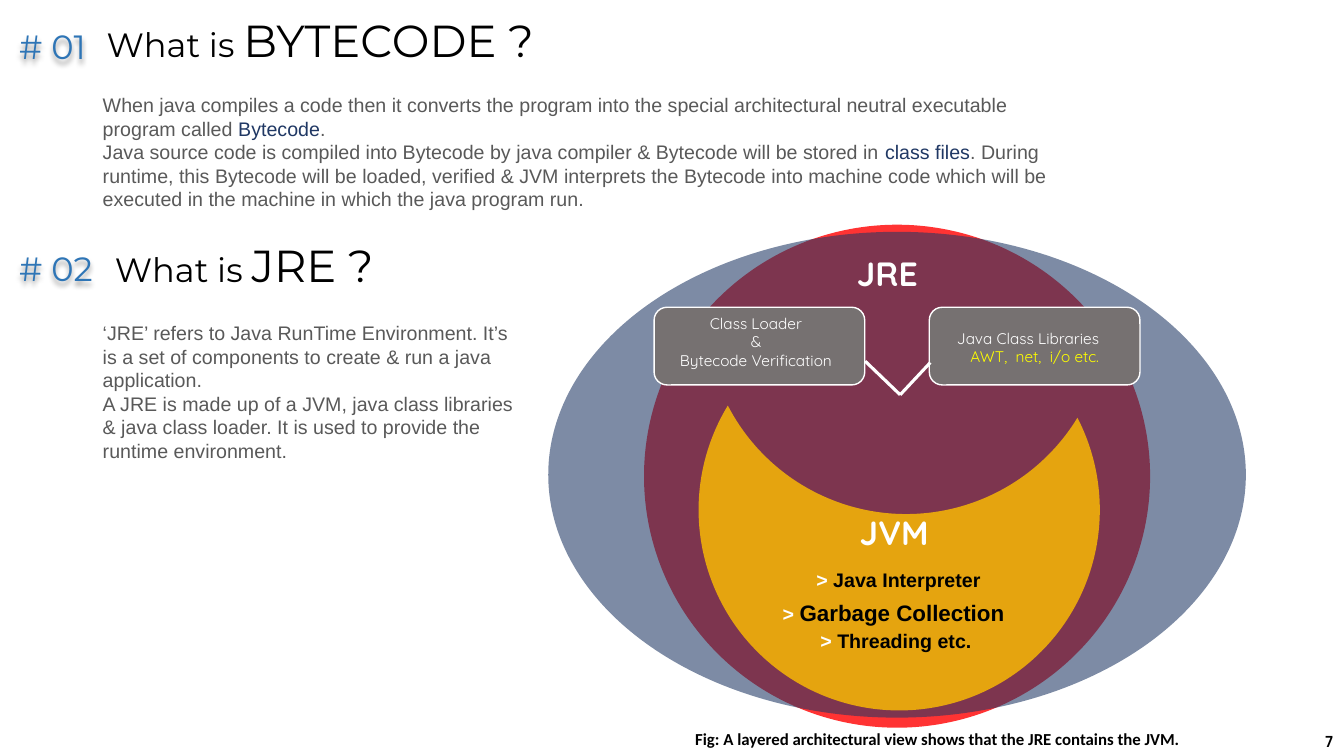
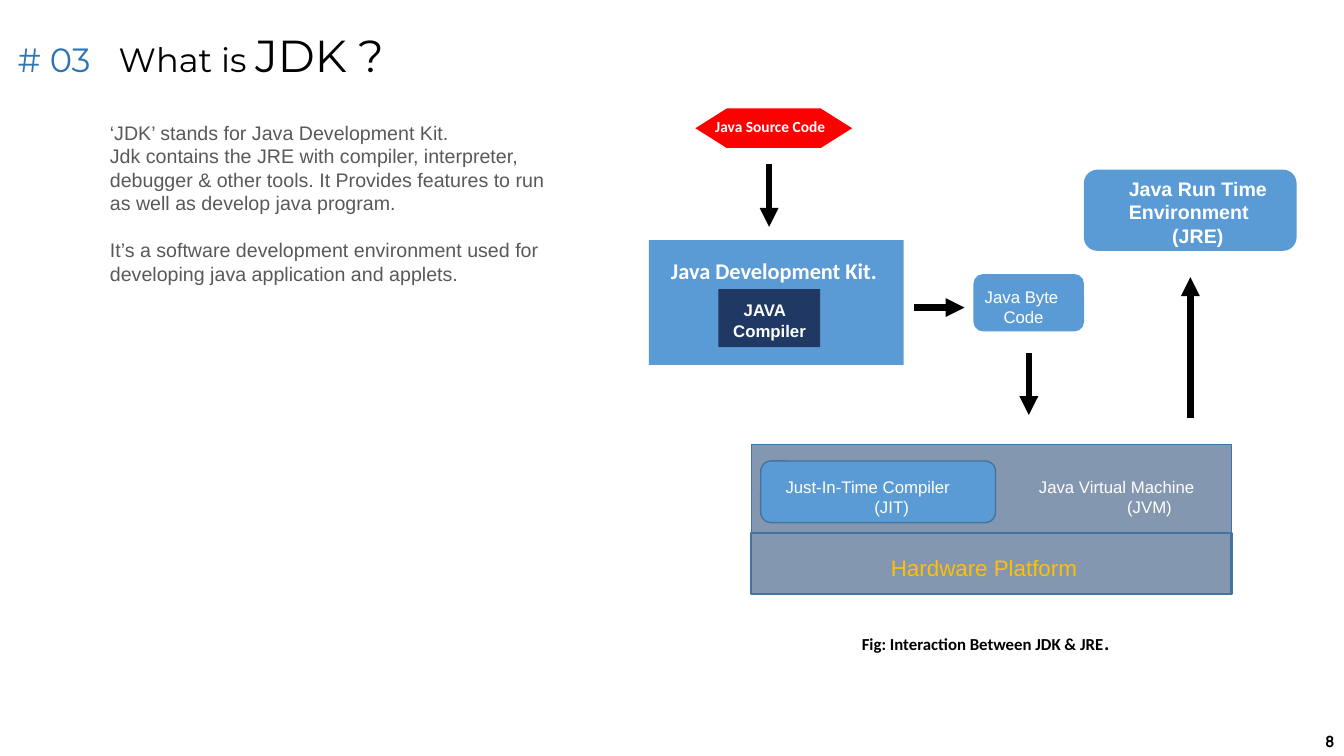
from dataclasses import dataclass
from math import acos, atan2, cos, degrees, hypot, pi, sin

from lxml import etree
from pptx import Presentation
from pptx.dml.color import RGBColor
from pptx.enum.shapes import MSO_CONNECTOR, MSO_SHAPE
from pptx.enum.text import MSO_ANCHOR, MSO_AUTO_SIZE, PP_ALIGN
from pptx.oxml.ns import qn
from pptx.util import Pt

LEFT, CENTER, RIGHT = PP_ALIGN.LEFT, PP_ALIGN.CENTER, PP_ALIGN.RIGHT
TOP, MIDDLE = MSO_ANCHOR.TOP, MSO_ANCHOR.MIDDLE
RECT, ROUND, OVAL = MSO_SHAPE.RECTANGLE, MSO_SHAPE.ROUNDED_RECTANGLE, MSO_SHAPE.OVAL
PREPARATION = MSO_SHAPE.FLOWCHART_PREPARATION
STRAIGHT = MSO_CONNECTOR.STRAIGHT
TWO_CONTENT, TITLE_AND_CONTENT = 3, 1
INSETS = (7.2, 3.6, 7.2, 3.6)


@dataclass(frozen=True)
class Theme:
    black: str = "000000"
    white: str = "FFFFFF"
    grey: str = "595959"
    stone: str = "767171"
    number: str = "2E75B6"
    navy: str = "203864"
    blue: str = "5B9BD5"
    slate: str = "8497B0"
    edge: str = "43739E"
    red: str = "FF0000"
    gold: str = "FFC000"
    yellow: str = "FFFF00"
    heading_font: str = "Montserrat"
    body_font: str = "Arial"
    label_font: str = "Quicksand"
    caption_font: str = "Calibri"
    page_font: str = "Manrope"
    topic: int = 32
    heading: int = 24
    large: int = 16
    body: int = 14
    small: int = 12
    tiny: int = 11


T = Theme()


def style_run(r, size=T.body, font=T.body_font, color=T.white, bold=False):
    r.font.size, r.font.name, r.font.bold = Pt(size), font, bold
    r.font.color.rgb = RGBColor.from_string(color)


def write(tf, paras, align=LEFT, anchor=TOP, insets=INSETS, **fmt):
    """Fill a frame; a paragraph is a string or a list of strings and (text, format) runs."""
    tf.word_wrap, tf.auto_size, tf.vertical_anchor = True, MSO_AUTO_SIZE.NONE, anchor
    tf.margin_left, tf.margin_top, tf.margin_right, tf.margin_bottom = map(Pt, insets)
    for i, runs in enumerate(paras):
        p = tf.add_paragraph() if i else tf.paragraphs[0]
        p.alignment, p.space_before = align, Pt(0)
        etree.SubElement(p._p.get_or_add_pPr(), qn("a:buNone"))
        indent(p, 0)
        for run in [runs] if isinstance(runs, str) else runs:
            text, extra = (run, {}) if isinstance(run, str) else run
            r = p.add_run()
            r.text = text
            style_run(r, **{**fmt, **extra})
    return tf


def indent(p, width):
    pPr = p._p.get_or_add_pPr()
    pPr.set("marL", str(Pt(width)))
    pPr.set("indent", "0")


def place(sp, box):
    sp.left, sp.top, sp.width, sp.height = map(Pt, box)


def paint(sp, fill, alpha=100, line=None, weight=1):
    sp.shadow.inherit = False
    sp.fill.solid()
    sp.fill.fore_color.rgb = RGBColor.from_string(fill)
    if alpha < 100:
        clr = next(sp.element.spPr.iter(qn("a:srgbClr")))
        etree.SubElement(clr, qn("a:alpha"), val=str(alpha * 1000))
    if line:
        sp.line.color.rgb = RGBColor.from_string(line)
        sp.line.width = Pt(weight)
    else:
        sp.line.fill.background()


def add_text_shadow(sp):
    effects = etree.SubElement(sp.element.spPr, qn("a:effectLst"))
    shadow = etree.SubElement(effects, qn("a:outerShdw"), blurRad=str(Pt(4)),
                              dist=str(Pt(3)), dir="5400000", algn="t", rotWithShape="0")
    clr = etree.SubElement(shadow, qn("a:srgbClr"), val=T.black)
    etree.SubElement(clr, qn("a:alpha"), val="40000")


class Deck:
    def __init__(self):
        self.prs = Presentation()
        self.prs.slide_width, self.prs.slide_height = Pt(960), Pt(540)
        self.slide = None

    def add_slide(self, layout, page):
        self.slide = self.prs.slides.add_slide(self.prs.slide_layouts[layout])
        self.text((939.5, 519.2, 19.5, 21), [page], size=T.tiny, font=T.page_font,
                  color=T.black, bold=True)

    def text(self, box, paras, **fmt):
        sp = self.slide.shapes.add_textbox(*map(Pt, box))
        write(sp.text_frame, paras, **fmt)
        return sp

    def stepped(self, box, paras, step, row=1, **fmt):
        """Add text with one paragraph indented by step."""
        indent(self.text(box, paras, **fmt).text_frame.paragraphs[row], step)

    def heading(self, box, topic, title=True):
        shapes = self.slide.shapes
        sp = shapes.title if title else shapes.add_textbox(*map(Pt, box))
        place(sp, box)
        write(sp.text_frame, [["What is ", (topic, {"size": T.topic})]],
              size=T.heading, font=T.heading_font, color=T.black)

    def number(self, box, text, shadow=False):
        sp = self.text(box, [text], size=T.heading, font=T.heading_font, color=T.number)
        if shadow:
            add_text_shadow(sp)

    def body(self, idx, box, paras):
        sp = self.slide.placeholders[idx]
        place(sp, box)
        return write(sp.text_frame, paras, color=T.grey)

    def caption(self, box, runs):
        self.text(box, [runs], size=T.small, font=T.caption_font, color=T.black, bold=True)

    def shape(self, kind, box, fill, **look):
        sp = self.slide.shapes.add_shape(kind, *map(Pt, box))
        paint(sp, fill, **look)
        return sp

    def crescent(self, disc, bite, radius, fill, alpha):
        """Draw a disc less an equal disc centred on bite, as true arcs."""
        dx, dy = bite[0] - disc[0], bite[1] - disc[1]
        axis, half = atan2(dy, dx), acos(hypot(dx, dy) / 2 / radius)
        outer = [axis + half, 0, pi / 2, pi, axis - half + 2 * pi]
        inner = [axis + pi + half, pi / 2, axis + pi - half]
        stops = [(disc, a) for a in outer] + [(bite, a) for a in inner[1:]]
        points = [(Pt(c[0] + radius * cos(a)), Pt(c[1] + radius * sin(a))) for c, a in stops]
        builder = self.slide.shapes.build_freeform(*points[0])
        builder.add_line_segments(points[1:], close=True)
        sp = builder.convert_to_shape()
        arcs = [*zip(outer, outer[1:]), *zip(inner, inner[1:])]
        for side, (start, end) in zip(list(sp.element.iter(qn("a:lnTo"))), arcs):
            arc = etree.Element(qn("a:arcTo"), wR=str(Pt(radius)), hR=str(Pt(radius)),
                                stAng=str(round(degrees(start) % 360 * 60000)),
                                swAng=str(round(degrees(end - start) * 60000)))
            side.getparent().replace(side, arc)
        paint(sp, fill, alpha)

    def line(self, start, end, color, weight, arrow=False):
        c = self.slide.shapes.add_connector(STRAIGHT, *map(Pt, start + end))
        c.line.color.rgb = RGBColor.from_string(color)
        c.line.width = Pt(weight)
        if arrow:
            etree.SubElement(c.line._get_or_add_ln(), qn("a:tailEnd"), type="triangle")
        etree.SubElement(c.element.spPr, qn("a:effectLst"))


def build_bytecode_and_jre(deck):
    deck.add_slide(TWO_CONTENT, "7")
    key = {"color": T.navy}
    deck.heading((69, 5.5, 336, 46), "BYTECODE ?")
    deck.number((6.6, 15, 68, 36), "# 01", shadow=True)
    deck.body(1, (66.2, 63, 696, 92), [
        ["When java compiles a code then it converts the program into the special "
         "architectural neutral executable program called ", ("Bytecode", key), "."],
        ["Java source code is compiled into Bytecode by java compiler & Bytecode will be "
         "stored in ", ("class files", key), ". During runtime, this Bytecode will be loaded, "
         "verified & JVM interprets the Bytecode into machine code which will be executed in "
         "the machine in which the java program run."]])
    deck.number((6.6, 173.5, 73, 36), "# 02", shadow=True)
    deck.heading((75, 166.4, 336, 46), "JRE ?", title=False)
    deck.body(2, (66.2, 225.7, 317, 148), [
        "‘JRE’ refers to Java RunTime Environment. It’s is a set of components to create & "
        "run a java application.",
        "A JRE is made up of a JVM, java class libraries & java class loader. It is used to "
        "provide the runtime environment."])

    deck.shape(OVAL, (460, 160.5, 361.5, 359.3), T.red, alpha=80)
    deck.shape(OVAL, (391.6, 165.6, 498.3, 347), T.navy, alpha=58)
    parts = [
        (467.2, (473, 220.8, 134, 47.5), CENTER,
         ["Class Loader", "&", "Bytecode Verification"]),
        (663.8, (670.3, 231.2, 122, 34), RIGHT,
         ["Java Class Libraries", [("AWT,  net,  i/o etc.", {"color": T.yellow})]])]
    for x, label_box, align, paras in parts:
        deck.shape(ROUND, (x, 219.5, 150.5, 55.5), T.stone, line=T.white)
        deck.text(label_box, paras, align=align, size=T.tiny, font=T.label_font)
    deck.crescent((642.3, 364.2), (647.2, 223.9), 143.3, T.gold, 80)
    for x, y, name in [(605, 177, "JRE"), (607, 362, "JVM")]:
        deck.text((x, y, 71, 36), [name], size=T.heading, font=T.label_font, bold=True)
    for x, y, name, size in [(576, 402, "Java Interpreter", T.body),
                             (552, 424.5, "Garbage Collection", T.large),
                             (578.9, 446, "Threading etc.", T.body)]:
        deck.text((x, y, 186, 26), [["> ", (name, {"size": size, "color": T.black})]],
                  bold=True)
    for end in [(664.5, 259), (618, 258)]:
        deck.line((643, 282), end, T.white, 2.25)
    deck.caption((489.5, 517, 370, 22),
                 ["Fig: A layered architectural view shows that the JRE contains the JVM."])


def build_jdk(deck):
    deck.add_slide(TITLE_AND_CONTENT, "8")
    deck.heading((77.6, 16, 220, 46), "JDK ?")
    deck.number((5.5, 24.5, 72, 36), "# 03")
    tf = deck.body(1, (71.3, 82.6, 326, 160), [
        "‘JDK’ stands for Java Development Kit.",
        "Jdk contains the JRE with compiler, interpreter, debugger & other tools. It Provides "
        "features to run as well as develop java program.",
        "It’s a software development environment used for developing java application and "
        "applets."])
    tf.paragraphs[2].space_before = Pt(16.8)

    deck.shape(PREPARATION, (496.7, 77.5, 112, 28.2), T.red)
    deck.text((503.8, 79.8, 99.5, 21), ["Java Source Code"], size=T.tiny,
              font=T.caption_font, bold=True)
    deck.shape(RECT, (463.5, 171.5, 182, 89.2), T.blue)
    deck.text((472.2, 180, 165, 26.5), ["Java Development Kit."], size=T.large,
              font=T.caption_font, bold=True)
    compiler = deck.shape(RECT, (513.2, 206.5, 72.7, 41.5), T.navy).text_frame
    write(compiler, ["JAVA", "Compiler"], anchor=MIDDLE, insets=(10.5, 3, 0, 0),
          size=T.small, bold=True)
    indent(compiler.paragraphs[0], 7.5)

    deck.shape(RECT, (536.7, 317.5, 343, 106.5), T.slate, line=T.edge)
    deck.shape(ROUND, (543.4, 329.3, 167.7, 44), T.blue, line=T.edge)
    deck.stepped((554, 337, 150.5, 36), ["Just-In-Time Compiler", "(JIT)"], 63.5, size=T.small)
    deck.stepped((735, 337, 145, 36), ["Java Virtual Machine", "(JVM)"], 63, size=T.small)
    deck.shape(RECT, (536.7, 381, 343, 43), T.slate, line=T.edge, weight=1.5)
    deck.text((629.3, 392.4, 175, 26.5), ["Hardware Platform"], size=T.large, color=T.gold)
    deck.shape(ROUND, (695.3, 195.8, 79, 41), T.blue)
    deck.stepped((696.3, 201, 76.5, 36), ["Java Byte", "Code"], 13.4, size=T.small)
    deck.shape(ROUND, (774.2, 121.2, 152, 58), T.blue)
    deck.stepped((799.2, 122.6, 127.5, 58.3), ["Java Run Time Environment", "(JRE)"], 31,
                 bold=True)
    for start, end in [((549.4, 117.4), (549.4, 162)), ((653, 219.7), (689, 219.7)),
                       ((734.9, 252), (734.9, 296.5)), ((850.3, 298.8), (850.3, 198))]:
        deck.line(start, end, T.black, 4.5, arrow=True)
    deck.caption((608.5, 443.2, 200, 29), ["Fig: Interaction Between JDK & JRE",
                                           (".", {"size": 18, "bold": False})])


def main():
    deck = Deck()
    build_bytecode_and_jre(deck)
    build_jdk(deck)
    deck.prs.save("out.pptx")


if __name__ == "__main__":
    main()
